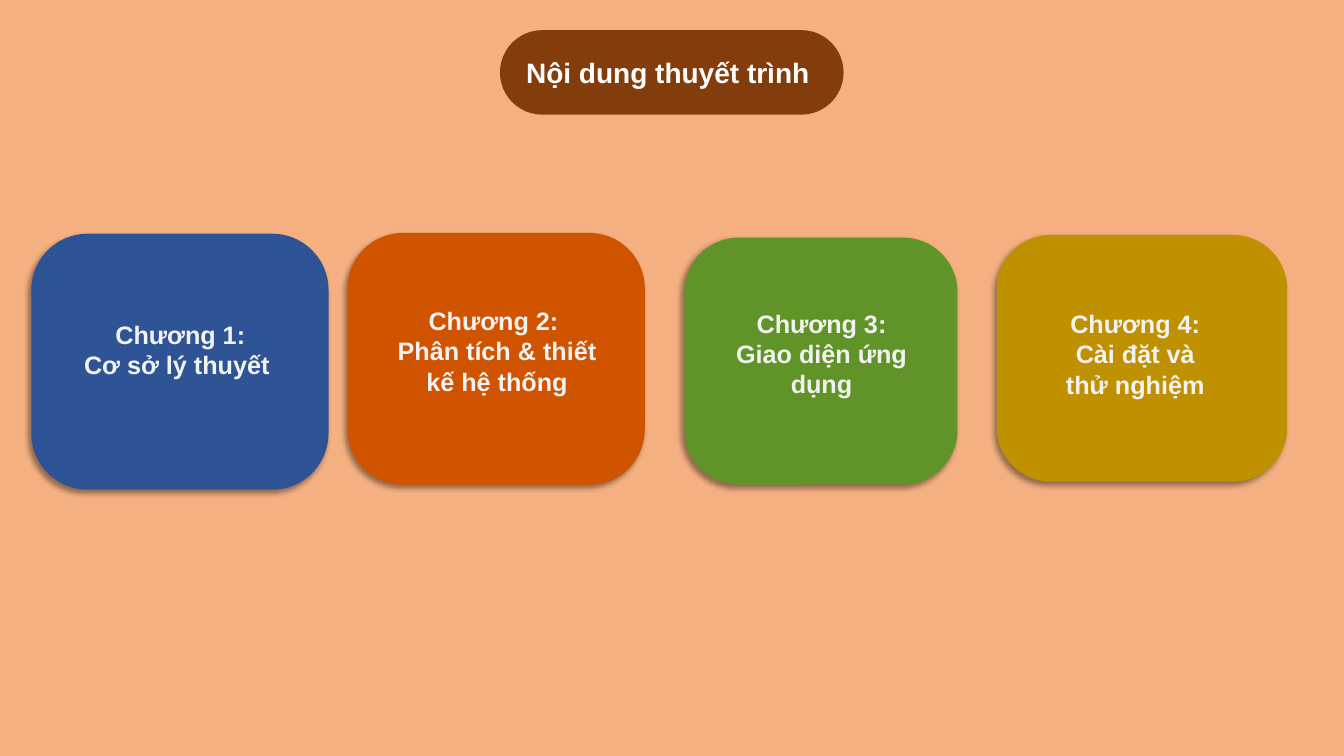
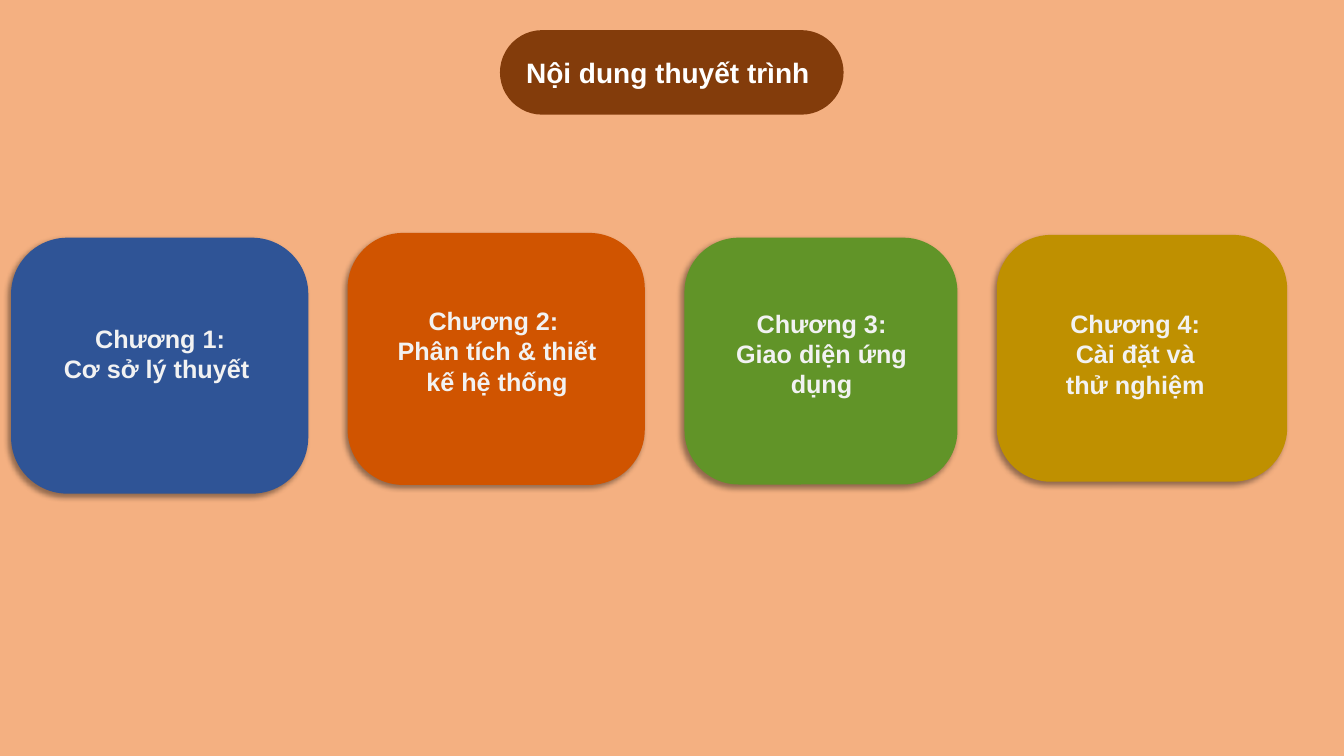
"""Build two agenda slides with four chapter cards under a title pill."""
from dataclasses import dataclass, replace

from lxml.etree import SubElement
from pptx import Presentation
from pptx.dml.color import RGBColor
from pptx.enum.shapes import MSO_SHAPE as Preset
from pptx.enum.text import MSO_ANCHOR as Anchor, MSO_AUTO_SIZE as AutoSize, PP_ALIGN as Align
from pptx.oxml.ns import qn
from pptx.util import Cm, Pt

COLOURS = {
    "background": "F4B081",
    "title": "833C0B",
    "title_text": "FFFFFF",
    "card_text": "F2F2F2",
    "shadow": "000000",
    "blue": "2F5496",
    "orange": "D05400",
    "green": "619428",
    "gold": "BF9000",
}
FONT = "Arial"
TITLE = "Nội dung thuyết trình "
TITLE_BOX = (12.6, 0.76, 8.66, 2.13)
CARD_ROUNDING = 0.22


@dataclass(frozen=True)
class Card:
    colour: str
    lines: tuple
    box: tuple
    label_offset: tuple
    label_size: tuple


THEORY = Card("blue", ("Chương 1:", "Cơ sở lý thuyết "),
              (0.79, 5.89, 7.49, 6.45), (0.2, 2.03), (7.11, 1.88))
SHIFTED_THEORY = replace(THEORY, box=(0.28, 5.99, 7.49, 6.45))
OTHER_CARDS = (
    Card("orange", ("Chương 2: ", "Phân tích & thiết kế hệ thống"),
         (8.76, 5.87, 7.49, 6.35), (0.74, 1.7), (6.05, 2.57)),
    Card("green", ("Chương 3: Giao diện ứng dụng",),
         (17.25, 5.99, 6.88, 6.22), (0.79, 1.65), (5.33, 2.57)),
    Card("gold", ("Chương 4:", "Cài đặt và thử nghiệm"),
         (25.12, 5.92, 7.32, 6.22), (1.47, 1.73), (4.04, 2.57)),
)


def paint(fill, colour):
    fill.solid()
    fill.fore_color.rgb = RGBColor.from_string(COLOURS[colour])


def add_rounded_box(shapes, box, colour, rounding):
    shape = shapes.add_shape(Preset.ROUNDED_RECTANGLE, *map(Cm, box))
    shape.adjustments[0] = rounding
    shape.shadow.inherit = False
    paint(shape.fill, colour)
    shape.line.fill.background()
    return shape


def add_soft_shadow(shape, blur=4, distance=3, angle=135, opacity=40):
    effects = shape._element.spPr.find(qn("a:effectLst"))
    shadow = SubElement(effects, qn("a:outerShdw"), blurRad=str(Pt(blur)),
                        dist=str(Pt(distance)), dir=str(angle * 60000),
                        algn="tr", rotWithShape="0")
    colour = SubElement(shadow, qn("a:srgbClr"), val=COLOURS["shadow"])
    SubElement(colour, qn("a:alpha"), val=str(opacity * 1000))


def write_text(shape, lines, *, size, colour, anchor=Anchor.TOP):
    frame = shape.text_frame
    frame.word_wrap = True
    frame.vertical_anchor = anchor
    frame.text = "\n".join(lines)
    for paragraph in frame.paragraphs:
        paragraph.alignment = Align.CENTER
        font = paragraph.runs[0].font
        font.name = FONT
        font.size = Pt(size)
        font.bold = True
        font.color.rgb = RGBColor.from_string(COLOURS[colour])


def add_title(slide):
    pill = add_rounded_box(slide.shapes, TITLE_BOX, "title", 0.5)
    write_text(pill, (TITLE,), size=20, colour="title_text", anchor=Anchor.MIDDLE)


def add_card(slide, card):
    group = slide.shapes.add_group_shape()
    add_soft_shadow(add_rounded_box(group.shapes, card.box, card.colour, CARD_ROUNDING))
    left, top = (start + offset for start, offset in zip(card.box, card.label_offset))
    label = group.shapes.add_textbox(Cm(left), Cm(top), *map(Cm, card.label_size))
    paint(label.fill, card.colour)
    write_text(label, card.lines, size=18, colour="card_text")
    label.text_frame.auto_size = AutoSize.SHAPE_TO_FIT_TEXT


def add_agenda_slide(presentation, cards):
    slide = presentation.slides.add_slide(presentation.slide_layouts[6])
    paint(slide.background.fill, "background")
    add_title(slide)
    for card in cards:
        add_card(slide, card)


def main():
    presentation = Presentation()
    presentation.slide_width = Cm(33.87)
    presentation.slide_height = Cm(19.05)
    for first_card in (THEORY, SHIFTED_THEORY):
        add_agenda_slide(presentation, (first_card, *OTHER_CARDS))
    presentation.save("out.pptx")


if __name__ == "__main__":
    main()
